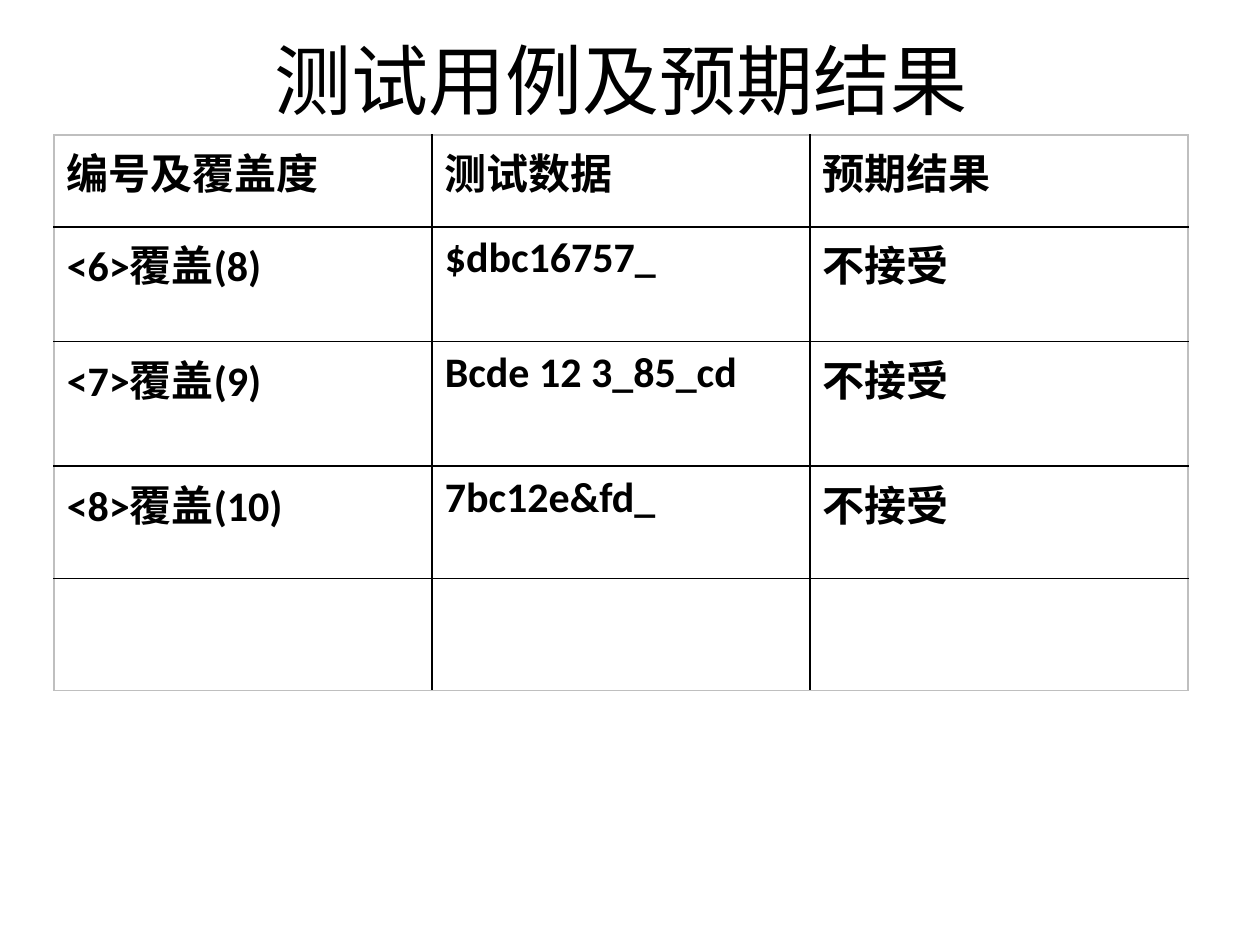
from lxml import etree
from pptx import Presentation
from pptx import util as u
from pptx.dml.color import RGBColor
from pptx.enum import text
from pptx.oxml.ns import qn

COLORS = {"ink": "000000", "paper": "FFFFFF", "frame": "BFBFBF"}
FONT = "Calibri"
ROWS = [
    ("编号及覆盖度", "测试数据", "预期结果"),
    ("<6>覆盖(8)", "$dbc16757_", "不接受"),
    ("<7>覆盖(9)", "Bcde 12 3_85_cd", "不接受"),
    ("<8>覆盖(10)", "7bc12e&fd_", "不接受"),
    ("", "", ""),
]
HEIGHTS = [0.73, 0.91, 0.99, 0.89, 0.89]
COL_WIDTH = 3


def style_font(font, size, bold):
    font.name = FONT
    font.size = u.Pt(size)
    font.bold = bold
    font.color.rgb = RGBColor.from_string(COLORS["ink"])


def add_border(cell, side, color):
    ln = etree.SubElement(cell._tc.get_or_add_tcPr(), qn(f"a:ln{side}"), w=str(u.Pt(1)))
    fill = etree.SubElement(ln, qn("a:solidFill"))
    etree.SubElement(fill, qn("a:srgbClr"), val=color)


prs = Presentation()
prs.slide_width, prs.slide_height = u.Inches(10), u.Inches(7.5)
s = prs.slides.add_slide(prs.slide_layouts[5])

title = s.shapes.title
title.left, title.top = u.Inches(0.43), u.Inches(0)
title.width, title.height = u.Inches(9), u.Inches(1.25)
tf = title.text_frame
tf.text = "测试用例及预期结果"
tf.vertical_anchor = text.MSO_ANCHOR.MIDDLE
p = tf.paragraphs[0]
p.alignment = text.PP_ALIGN.CENTER
style_font(p.runs[0].font, 44, False)

n_rows, n_cols = len(ROWS), len(ROWS[0])
table = s.shapes.add_table(
    n_rows, n_cols, u.Inches(0.43), u.Inches(1.07),
    u.Inches(COL_WIDTH * n_cols), u.Inches(sum(HEIGHTS)),
).table
table.first_row = False
table.horz_banding = False
for col in table.columns:
    col.width = u.Inches(COL_WIDTH)

for i, (row, height) in enumerate(zip(ROWS, HEIGHTS)):
    table.rows[i].height = u.Inches(height)
    for j, label in enumerate(row):
        cell = table.cell(i, j)
        outer = {"L": j == 0, "R": j == n_cols - 1, "T": i == 0, "B": i == n_rows - 1}
        for side, is_outer in outer.items():
            add_border(cell, side, COLORS["frame" if is_outer else "ink"])
        cell.fill.solid()
        cell.fill.fore_color.rgb = RGBColor.from_string(COLORS["paper"])
        if label:
            cell.text_frame.text = label
            style_font(cell.text_frame.paragraphs[0].runs[0].font, 24, True)

prs.save("out.pptx")
